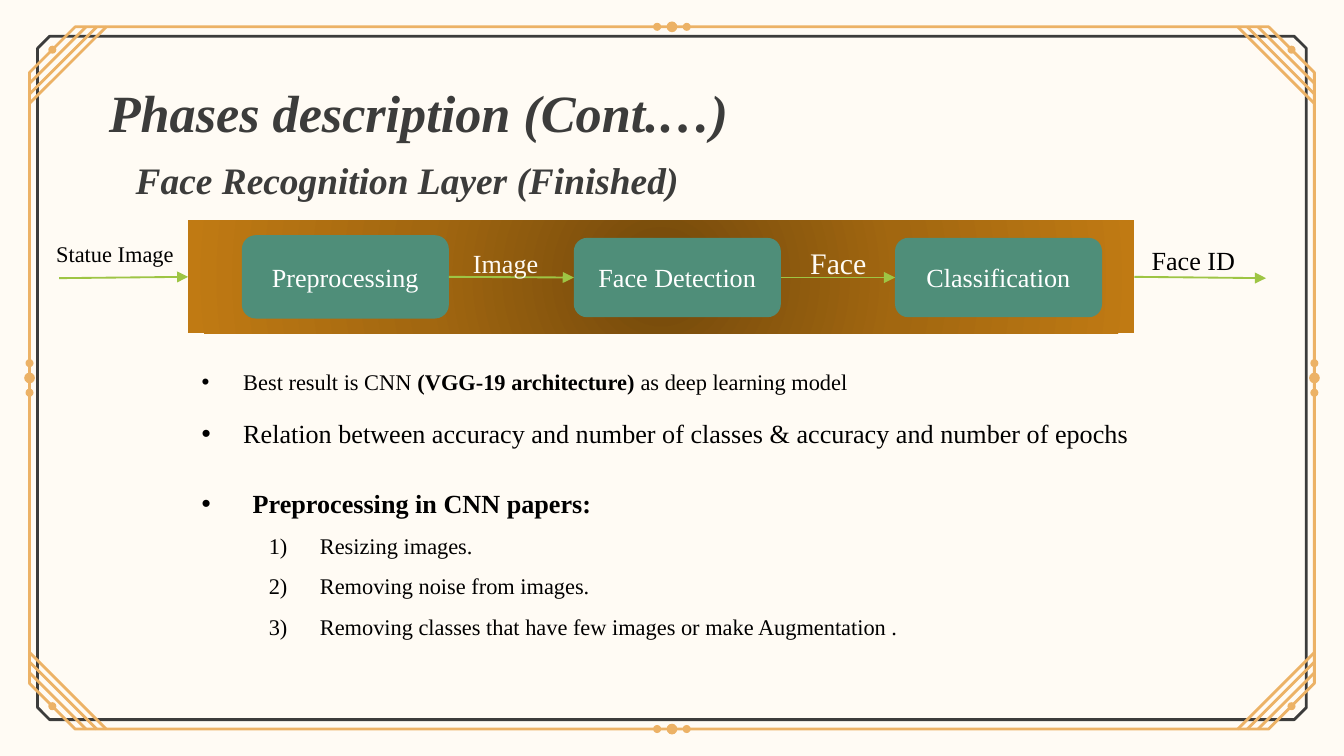
from itertools import product

from pptx import Presentation, util as u
from pptx.dml.color import RGBColor
from pptx.enum import shapes, text
from pptx.oxml import parse_xml
from pptx.oxml.ns import nsdecls
from pptx.oxml.xmlchemy import OxmlElement

# Content
W = 10
H = W * 9 / 16
FONT = "Times New Roman"
C = {"paper": "FFFBF4", "dark": "3C3C3B", "gold": "ECB266", "black": "000000",
     "white": "FFFFFF", "step": "4F8E79", "arrow": "9EC544"}
BAND_STOPS = [(0, "72480B"), (50, "A26710"), (100, "C07A13")]
BAND = (1.4, 1.64, 7.04, 0.84)

TITLE = ("Phases description (Cont.…)", (0.71, 0.55, 5.24, 0.57), 28)
SUBTITLE = ("Face Recognition Layer (Finished)", (0.91, 1.12, 4.34, 0.44), 20)
# List: box, then paragraphs of (runs of text and bold, size, left margin, hanging, numbered)
LISTS = [
    ((1.4, 2.59, 7.65, 0.61),
     [([("Best result is CNN ", False), ("(VGG-19 architecture)", True),
        (" as deep learning model", False)], 12, 0.31, 0.31, False)]),
    ((1.4, 2.94, 9.03, 0.41),
     [([("Relation between accuracy and number of classes & accuracy and number of epochs",
         False)], 14, 0.31, 0.31, False)]),
    ((1.4, 3.46, 6.93, 1.36),
     [([("Preprocessing in CNN papers:", True)], 14, 0.38, 0.38, False)]
     + [([(item, False)], 12, 0.88, 0.38, True) for item in (
         "Resizing images.", "Removing noise from images.",
         "Removing classes that have few images or make Augmentation .")]),
]
STEPS = [("Preprocessing", (1.8, 1.75, 1.54, 0.62)),
         ("Face Detection", (4.27, 1.77, 1.54, 0.59)),
         ("Classification", (6.66, 1.77, 1.54, 0.59))]
LABELS = [("Statue Image", (0.32, 1.74, 1.23, 0.3), 12, "black"),
          ("Image", (3.42, 1.79, 0.71, 0.34), 14, "paper"),
          ("Face", (5.93, 1.77, 1.02, 0.37), 16, "paper"),
          ("Face ID", (8.47, 1.77, 0.95, 0.34), 14, "black")]

prs = Presentation()
prs.slide_width, prs.slide_height = u.Inches(W), u.Inches(H)
s = prs.slides.add_slide(prs.slide_layouts[4])


def rgb(name):
    return RGBColor.from_string(C[name])


def place(sp, box):
    sp.left, sp.top, sp.width, sp.height = map(u.Inches, box)


def style(p, size, color, bold=False, italic=False):
    for r in p.runs:
        f = r.font
        f.name, f.size, f.bold, f.italic = FONT, u.Pt(size), bold, italic
        f.color.rgb = rgb(color)


def prepare(sp, box):
    place(sp, box)
    tf = sp.text_frame
    tf.word_wrap, tf.auto_size = True, text.MSO_AUTO_SIZE.NONE
    tf.vertical_anchor = text.MSO_ANCHOR.TOP
    return tf


def add_shape(kind, box, color):
    sp = s.shapes.add_shape(kind, *map(u.Inches, box))
    sp.shadow.inherit = False
    sp.fill.solid()
    sp.fill.fore_color.rgb = rgb(color)
    sp.line.fill.background()
    return sp


def add_line(x1, y1, x2, y2, color, width):
    ln = s.shapes.add_connector(shapes.MSO_CONNECTOR.STRAIGHT, *map(u.Inches, (x1, y1, x2, y2)))
    ln.line.color.rgb, ln.line.width = rgb(color), u.Pt(width)
    ln._element.spPr.append(OxmlElement("a:effectLst"))
    return ln


def add_dot(x, y, d):
    add_shape(shapes.MSO_SHAPE.OVAL, (x - d / 2, y - d / 2, d, d), "gold")


def add_frame(x, y, cut, color):
    """Rectangle with cut corners, inset by x and y."""
    r, b = W - x, H - y
    pts = [(x + cut, y), (r - cut, y), (r, y + cut), (r, b - cut),
           (r - cut, b), (x + cut, b), (x, b - cut), (x, y + cut)]
    pts = [(u.Inches(px), u.Inches(py)) for px, py in pts]
    fb = s.shapes.build_freeform(*pts[0])
    fb.add_line_segments(pts[1:], close=True)
    sp = fb.convert_to_shape()
    sp.shadow.inherit = False
    sp.fill.background()
    sp.line.color.rgb, sp.line.width = rgb(color), u.Pt(1.5)


def add_bullet(p, left, hanging, numbered):
    pPr = p._p.get_or_add_pPr()
    pPr.set("marL", str(u.Inches(left)))
    pPr.set("indent", str(-u.Inches(hanging)))
    if numbered:
        font, bu = "+mj-lt", OxmlElement("a:buAutoNum")
        bu.set("type", "arabicParenR")
    else:
        font, bu = "Arial", OxmlElement("a:buChar")
        bu.set("char", "•")
    bu_font = OxmlElement("a:buFont")
    bu_font.set("typeface", font)
    pPr.extend([bu_font, bu])


# Background and decorative border
s.background.fill.solid()
s.background.fill.fore_color.rgb = rgb("paper")
X, Y = 0.22, 0.2
add_frame(0.28, 0.27, 0.09, "dark")
add_frame(X, Y, 0.34, "gold")
for right, bottom in product((False, True), repeat=2):
    def mx(x): return W - x if right else x
    def my(y): return H - y if bottom else y
    for d in (0.42, 0.5, 0.57):
        add_line(mx(X), my(Y + d), mx(X + d), my(Y), "gold", 1.5)
    add_dot(mx(0.39), my(0.37), 0.06)
for offset, d in ((-0.11, 0.06), (0, 0.08), (0.11, 0.06)):
    for y in (Y, H - Y):
        add_dot(W / 2 + offset, y, d)
    for x in (X, W - X):
        add_dot(x, H / 2 + offset, d)

# Title and subtitle
title, subtitle, *bodies = s.placeholders
for sp, (words, box, size) in ((title, TITLE), (subtitle, SUBTITLE)):
    tf = prepare(sp, box)
    tf.text = words
    p = tf.paragraphs[0]
    p.alignment, p.space_before = text.PP_ALIGN.LEFT, u.Pt(0)
    style(p, size, "dark", bold=True, italic=True)

# Lists
for sp, (box, items) in zip(bodies, LISTS):
    tf = prepare(sp, box)
    for i, (runs, size, left, hanging, numbered) in enumerate(items):
        p = tf.add_paragraph() if i else tf.paragraphs[0]
        p.level = int(numbered)
        add_bullet(p, left, hanging, numbered)
        p.line_spacing, p.space_before = 1.5, u.Pt(0)
        for words, _ in runs:
            p.add_run().text = words
        style(p, size, "black")
        for r, (_, bold) in zip(p.runs, runs):
            r.font.bold = bold

# Band with radial gradient
band = add_shape(shapes.MSO_SHAPE.RECTANGLE, BAND, "gold")
stops = "".join(f'<a:gs pos="{pos * 1000}"><a:srgbClr val="{c}"/></a:gs>' for pos, c in BAND_STOPS)
spPr = band._element.spPr
spPr.replace(spPr.find("{*}solidFill"), parse_xml(
    f'<a:gradFill {nsdecls("a")} rotWithShape="1"><a:gsLst>{stops}</a:gsLst><a:path path="circle">'
    '<a:fillToRect l="50000" t="50000" r="50000" b="50000"/></a:path></a:gradFill>'))

# Steps
steps = []
for words, box in STEPS:
    sp = add_shape(shapes.MSO_SHAPE.ROUNDED_RECTANGLE, box, "step")
    tf = sp.text_frame
    tf.text, tf.vertical_anchor = words, text.MSO_ANCHOR.MIDDLE
    tf.paragraphs[0].alignment = text.PP_ALIGN.CENTER
    style(tf.paragraphs[0], 14, "white")
    steps.append(sp)

# Arrows between steps, into the band and out of it
pre, detect, classify = steps
for start, end, (x1, x2) in ((None, band, (0.44, 1.4)), (pre, detect, (3.34, 4.27)),
                             (detect, classify, (5.81, 6.66)), (band, None, (8.44, 9.42))):
    ln = add_line(x1, 2.07, x2, 2.07, "arrow", 1)
    if start:
        ln.begin_connect(start, 3)
    if end:
        ln.end_connect(end, 1)
    tail = OxmlElement("a:tailEnd")
    tail.set("type", "triangle")
    ln.line._get_or_add_ln().append(tail)

# Arrow labels
for words, box, size, color in LABELS:
    tf = prepare(s.shapes.add_textbox(0, 0, 0, 0), box)
    tf.text = words
    style(tf.paragraphs[0], size, color)

prs.save("out.pptx")
